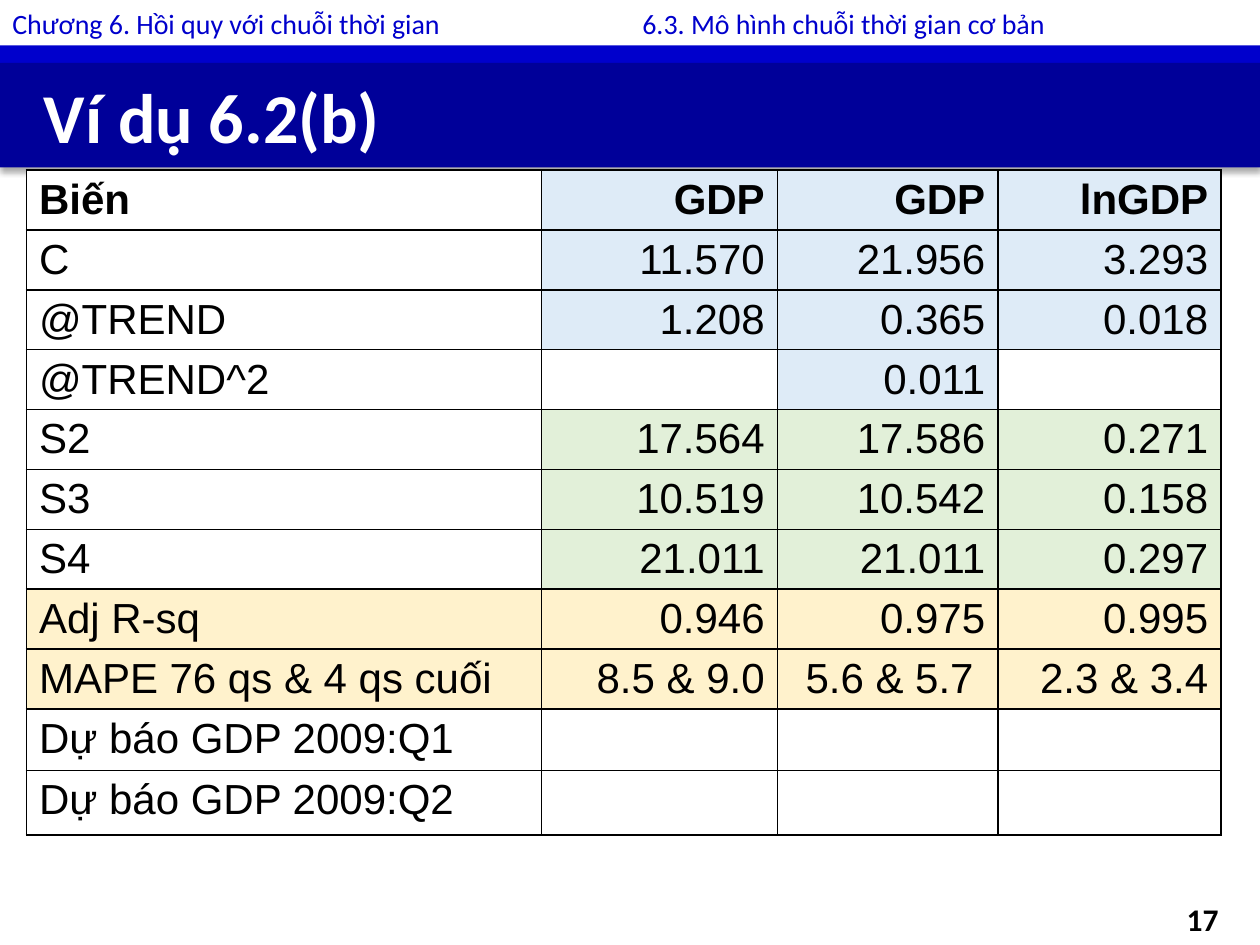
from pptx import Presentation
from pptx.dml.color import RGBColor
from pptx.enum import shapes, text
from pptx.oxml import parse_xml
from pptx.oxml.ns import nsdecls
from pptx.util import Inches, Pt


def rgb(color):
    return RGBColor.from_string(color)


def write(tf, content, size, color, name="Calibri", bold=False, align=text.PP_ALIGN.LEFT):
    """Put one styled paragraph in a text frame and return it."""
    p = tf.paragraphs[0]
    p.text = content
    p.alignment = align
    p.font.size, p.font.name, p.font.bold = Pt(size), name, bold
    p.font.color.rgb = rgb(color)
    return p


prs = Presentation()
prs.slide_width, prs.slide_height = Inches(10), Inches(7.5)
s = prs.slides.add_slide(prs.slide_layouts[6])

# Title band with a thin strip above it
bands = []
for top, height, color in [(0.36, 0.14, "0000CC"), (0.5, 0.83, "000099")]:
    sp = s.shapes.add_shape(shapes.MSO_SHAPE.RECTANGLE, 0, Inches(top), Inches(10), Inches(height))
    sp.shadow.inherit = False
    sp.fill.solid()
    sp.fill.fore_color.rgb = rgb(color)
    sp.line.fill.background()
    bands.append(sp)

title = bands[1]
title.text_frame.vertical_anchor = text.MSO_ANCHOR.MIDDLE
p = write(title.text_frame, "Ví dụ 6.2(b)", 40, "FFFFFF", bold=True)
p._p.get_or_add_pPr().set("marL", str(Inches(0.25)))
title._element.spPr.find("{*}effectLst").append(parse_xml(
    f'<a:outerShdw {nsdecls("a")} blurRad="{Pt(3.5)}" dist="{Pt(2.2)}" dir="5400000" '
    'rotWithShape="0"><a:srgbClr val="000000"><a:alpha val="32000"/></a:srgbClr></a:outerShdw>'))

# Slide number
tf = s.shapes.add_textbox(Inches(8.94), Inches(7.09), Inches(0.83), Inches(0.4)).text_frame
tf.word_wrap = True
tf.vertical_anchor = text.MSO_ANCHOR.MIDDLE
write(tf, "17", 18, "000000", bold=True, align=text.PP_ALIGN.RIGHT)

# Regression results
WHITE, BLUE, GREEN, YELLOW = "FFFFFF", "DEEBF7", "E2F0D9", "FFF2CC"
rows = [
    ("Biến", "GDP", "GDP", "lnGDP", BLUE),
    ("C", "11.570", "21.956", "3.293", BLUE),
    ("@TREND", "1.208", "0.365", "0.018", BLUE),
    ("@TREND^2", "", "0.011", "", BLUE),
    ("S2", "17.564", "17.586", "0.271", GREEN),
    ("S3", "10.519", "10.542", "0.158", GREEN),
    ("S4", "21.011", "21.011", "0.297", GREEN),
    ("Adj R-sq", "0.946", "0.975", "0.995", YELLOW),
    ("MAPE 76 qs & 4 qs cuối", "8.5 & 9.0", "5.6 & 5.7 ", "2.3 & 3.4", YELLOW),
    ("Dự báo GDP 2009:Q1", "", "", "", WHITE),
    ("Dự báo GDP 2009:Q2", "", "", "", WHITE),
]
widths = [4.09, 1.87, 1.75, 1.77]
heights = [4.28 / 9] * 9 + [0.49, 0.51]
table = s.shapes.add_table(len(rows), len(widths), Inches(0.21), Inches(1.35),
                           Inches(sum(widths)), Inches(sum(heights))).table
for column, width in zip(table.columns, widths):
    column.width = Inches(width)
for i, (*values, color) in enumerate(rows):
    table.rows[i].height = Inches(heights[i])
    for j, value in enumerate(values):
        cell = table.cell(i, j)
        cell.margin_bottom = 0
        align = text.PP_ALIGN.RIGHT if j else text.PP_ALIGN.LEFT
        write(cell.text_frame, value, 24, "000000", "Arial", i == 0, align)
        tcPr = cell._tc.get_or_add_tcPr()
        for side in ("lnL", "lnR", "lnT", "lnB"):
            tcPr.append(parse_xml(
                f'<a:{side} {nsdecls("a")} w="{Pt(1)}"><a:solidFill>'
                f'<a:srgbClr val="000000"/></a:solidFill></a:{side}>'))
        colored = value and (j or color == YELLOW)
        cell.fill.solid()
        cell.fill.fore_color.rgb = rgb(color if colored else WHITE)

# Chapter and section header
tf = s.shapes.add_textbox(0, 0, Inches(10), Inches(0.37)).text_frame
tf.word_wrap = True
p = write(tf, "Chương 6. Hồi quy với chuỗi thời gian\t\t6.3. Mô hình chuỗi thời gian cơ bản", 16, "0000CC")
tabs = "".join(f'<a:tab pos="{Inches(stop)}" algn="l"/>' for stop in (4, 5))
p._p.get_or_add_pPr().insert(0, parse_xml(f'<a:tabLst {nsdecls("a")}>{tabs}</a:tabLst>'))

prs.save("out.pptx")
